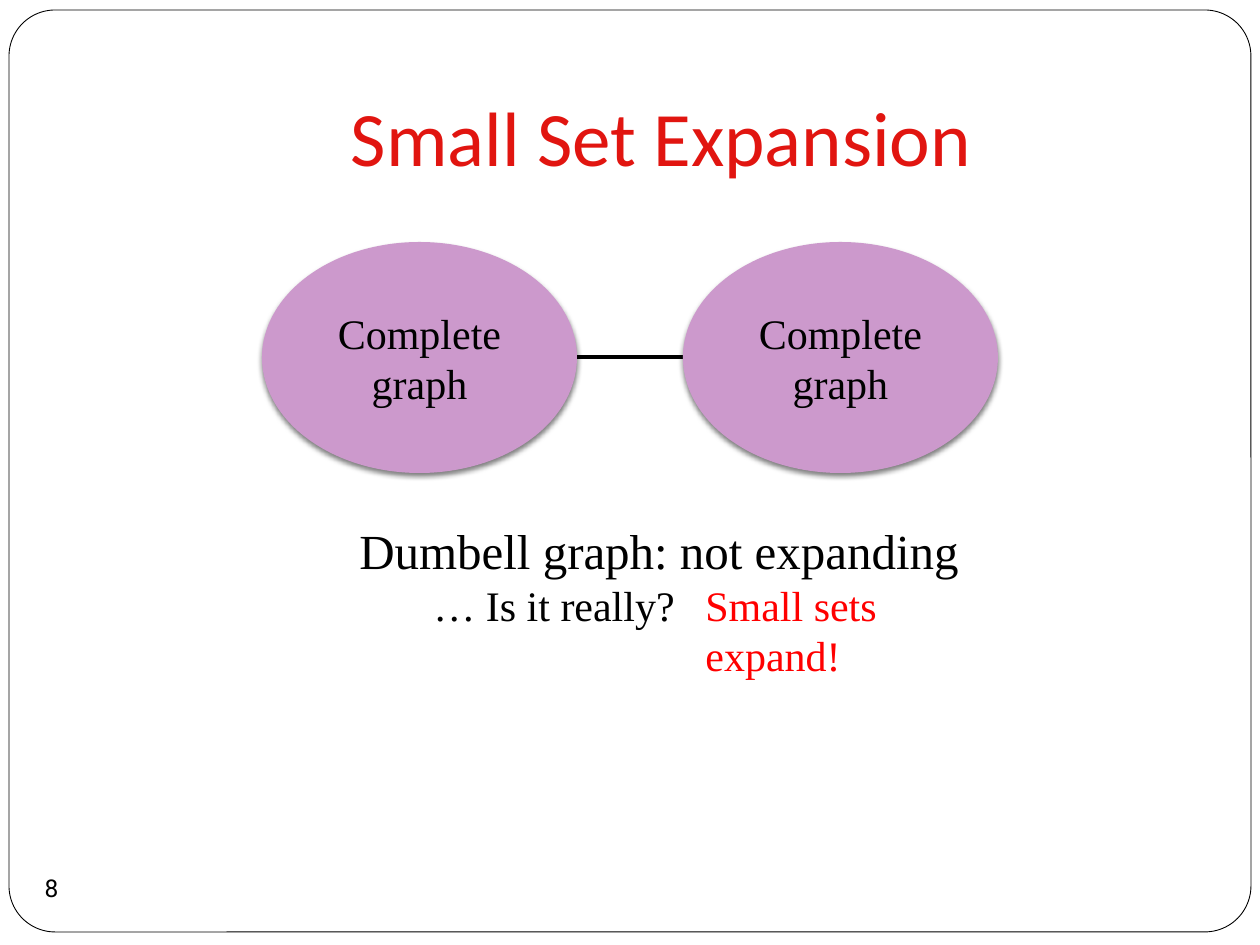
from lxml import etree
from pptx import Presentation
from pptx.dml.color import RGBColor
from pptx.enum.shapes import MSO_CONNECTOR, MSO_SHAPE as SHAPE
from pptx.enum.text import MSO_ANCHOR as ANCHOR, PP_ALIGN as ALIGN
from pptx.oxml import parse_xml
from pptx.oxml.ns import nsdecls, qn
from pptx.util import Emu, Pt

PX = 914400 / 126
SERIF = "Times New Roman"


def px(*lengths):
    return [Emu(round(n * PX)) for n in lengths]


def write(sp, lines, font, color, align=ALIGN.LEFT, anchor=ANCHOR.TOP):
    """Fill a shape with (text, size) lines, one paragraph each."""
    tf = sp.text_frame
    tf.word_wrap = True
    tf.vertical_anchor = anchor
    tf.text = "\n".join(text for text, size in lines)
    for p, (text, size) in zip(tf.paragraphs, lines):
        p.alignment = align
        f = p.runs[0].font
        f.name, f.size = font, Pt(size)
        f.color.rgb = RGBColor.from_string(color)
    return tf


prs = Presentation()
prs.slide_width, prs.slide_height = px(1260, 945)
s = prs.slides.add_slide(prs.slide_layouts[6])

# Frame
frame = s.shapes.add_shape(SHAPE.ROUNDED_RECTANGLE, *px(9, 10, 1242, 922))
frame.adjustments[0] = 0.05
frame.shadow.inherit = False
frame.fill.solid()
frame.fill.fore_color.rgb = RGBColor.from_string("FFFFFF")
frame.line.color.rgb = RGBColor.from_string("000000")
frame.line.width = Pt(0.5)

# Edge between the two halves of the graph
edge = s.shapes.add_connector(MSO_CONNECTOR.STRAIGHT, *px(571, 357, 683, 357))
edge.line.color.rgb = RGBColor.from_string("000000")
edge.line.width = Pt(2)
etree.SubElement(edge._element.spPr, qn("a:effectLst"))

# Title and page number
title = s.shapes.add_textbox(*px(126, 38, 1071, 157))
tf = write(title, [("Small Set Expansion", 44)], "Calibri", "E11510", ALIGN.CENTER, ANCHOR.BOTTOM)
tf.margin_bottom = px(13)[0]

number = s.shapes.add_textbox(*px(20, 856, 63, 63))
tf = write(number, [("8", 14)], "Roboto", "000000", ALIGN.CENTER, ANCHOR.MIDDLE)
tf.margin_left = tf.margin_top = tf.margin_right = tf.margin_bottom = 0

# Complete graphs
for left in (262, 683):
    graph = s.shapes.add_shape(SHAPE.OVAL, *px(left, 242, 315, 231))
    graph.fill.solid()
    graph.fill.fore_color.rgb = RGBColor.from_string("CC99CC")
    graph.line.fill.background()
    graph._element.spPr.append(parse_xml(
        f'<a:effectLst {nsdecls("a")}>'
        f'<a:outerShdw blurRad="{Pt(3)}" dist="{Pt(2)}" dir="5400000" rotWithShape="0">'
        '<a:srgbClr val="000000"><a:alpha val="50000"/></a:srgbClr>'
        '</a:outerShdw></a:effectLst>'))
    write(graph, [("Complete graph", 24)], SERIF, "000000", ALIGN.CENTER, ANCHOR.MIDDLE)

# Question and answer
question = s.shapes.add_textbox(*px(347, 514, 687, 123))
tf = write(question, [("Dumbell graph: not expanding", 28), ("… Is it really?", 24)], SERIF, "000000")
tf.paragraphs[1]._p.get_or_add_pPr().set("marL", str(px(74)[0]))

answer = s.shapes.add_textbox(*px(693, 573, 307, 63))
write(answer, [("Small sets expand!", 24)], SERIF, "FF0000")

prs.save("out.pptx")
